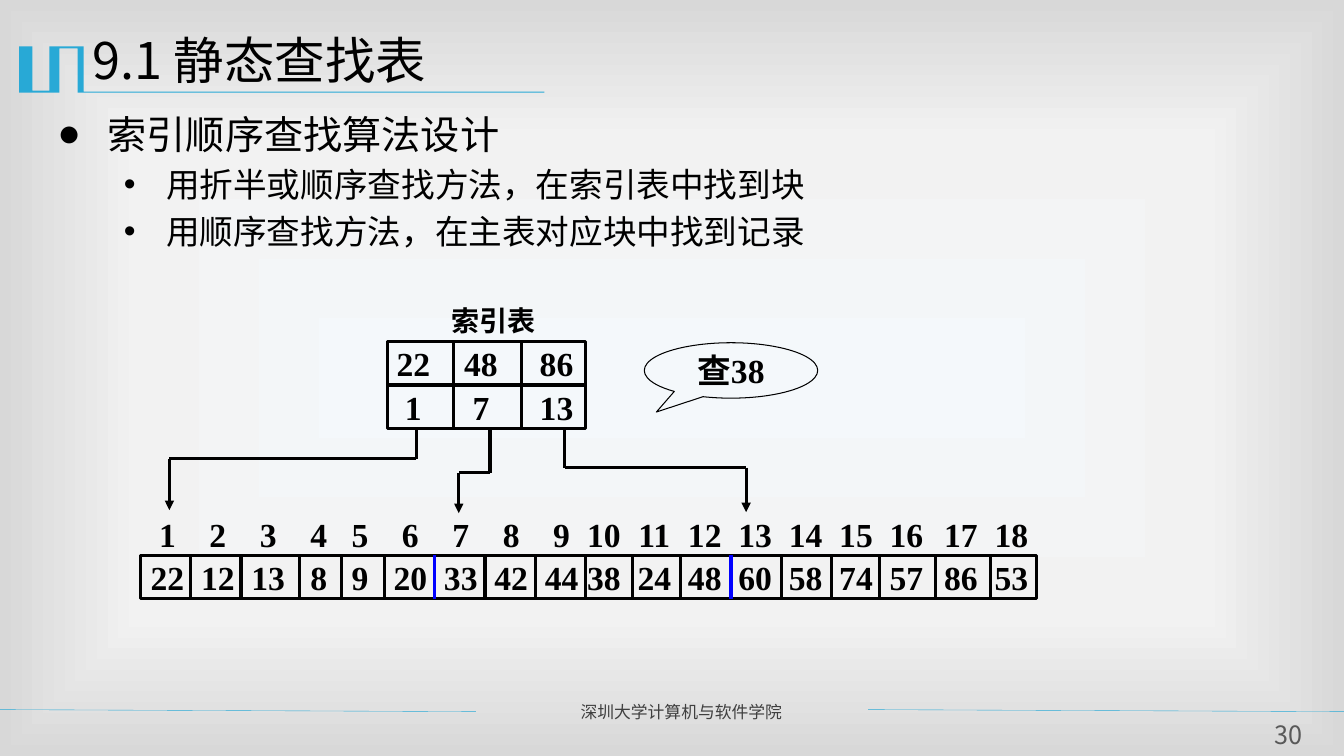
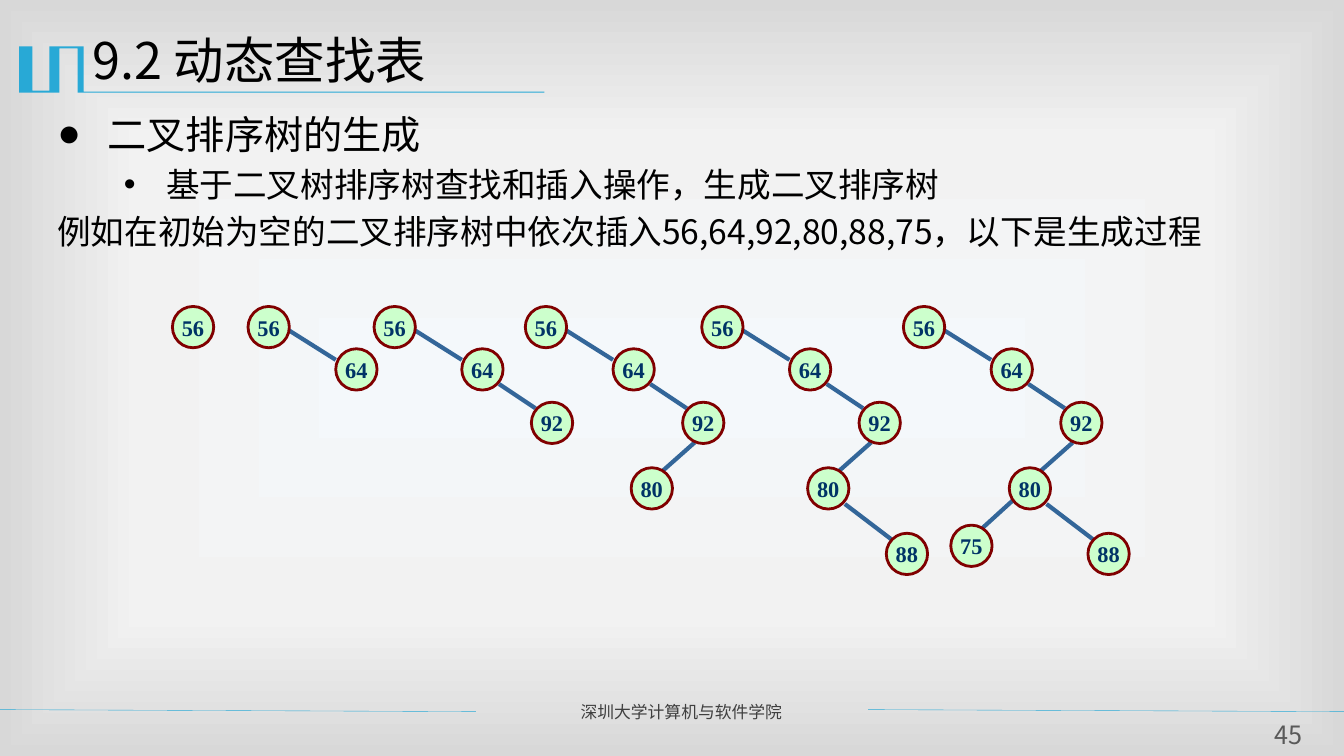
from pptx import Presentation
from pptx.dml.color import RGBColor
from pptx.enum.shapes import MSO_CONNECTOR, MSO_SHAPE
from pptx.enum.text import MSO_ANCHOR, PP_ALIGN
from pptx.oxml import parse_xml
from pptx.oxml.ns import nsdecls, qn
from pptx.util import Inches, Pt

LEFT, CENTER, JUSTIFY = PP_ALIGN.LEFT, PP_ALIGN.CENTER, PP_ALIGN.JUSTIFY
TOP, MIDDLE = MSO_ANCHOR.TOP, MSO_ANCHOR.MIDDLE
RECTANGLE, OVAL, CALLOUT = MSO_SHAPE.RECTANGLE, MSO_SHAPE.OVAL, MSO_SHAPE.OVAL_CALLOUT
STRAIGHT = MSO_CONNECTOR.STRAIGHT

SANS, SERIF = "Noto Sans CJK SC", "Times New Roman"
COLORS = {
    "text": "000000", "accent": "28A9D6", "footer": "3F3F3F", "page": "595959",
    "block": "0000FF", "node": "CCFFCC", "node_line": "800000",
    "key": "003366", "edge": "336699",
    "glow": "F4F8FB", "paper": "F2F2F2", "rim": "D8D8D8",
}


def write_text(frame, text, size=24, color="text", font=SANS, bold=False, align=LEFT,
               anchor=TOP, wrap=True, margin=None, before=0, bullet=None,
               indent=(0, 0), tabs=()):
    """Add one paragraph; indent is (left margin, hanging), tabs are centred stops."""
    frame.word_wrap = wrap
    frame.vertical_anchor = anchor
    if margin is not None:
        frame.margin_left = frame.margin_right = Inches(margin)
        frame.margin_top = frame.margin_bottom = Inches(margin)
    paragraph = frame.add_paragraph() if frame.text else frame.paragraphs[0]
    properties = paragraph._p.get_or_add_pPr()
    if bullet:
        properties.set("marL", str(Inches(indent[0])))
        properties.set("indent", str(-Inches(indent[1])))
        properties.append(parse_xml(f'<a:buFont {nsdecls("a")} typeface="Arial"/>'))
        properties.append(parse_xml(f'<a:buChar {nsdecls("a")} char="{bullet}"/>'))
    if tabs:
        stops = "".join(f'<a:tab pos="{Inches(tab)}" algn="ctr"/>' for tab in tabs)
        properties.append(parse_xml(f'<a:tabLst {nsdecls("a")}>{stops}</a:tabLst>'))
    paragraph.alignment = align
    paragraph.space_before = Pt(before)
    run = paragraph.add_run()
    run.text = text
    run.font.size = Pt(size)
    run.font.bold = bold
    run.font.name = font
    run.font.color.rgb = RGBColor.from_string(COLORS[color])
    run._r.get_or_add_rPr().append(
        parse_xml(f'<a:ea {nsdecls("a")} typeface="{SANS}"/>'))


def draw_line(slide, start, end, color="text", width=2.25, arrow=False):
    line = slide.shapes.add_connector(STRAIGHT, *map(Inches, start + end))
    line.line.color.rgb = RGBColor.from_string(COLORS[color])
    line.line.width = Pt(width)
    if arrow:
        line.line._get_or_add_ln().append(
            parse_xml(f'<a:tailEnd {nsdecls("a")} type="triangle"/>'))
    line._element.spPr.append(parse_xml(f'<a:effectLst {nsdecls("a")}/>'))


prs = Presentation()
prs.slide_width, prs.slide_height = Inches(13.33), Inches(7.5)

# Shared background
master = prs.slide_master
master.background.fill.solid()
background = master.element.find(".//" + qn("p:bgPr"))
gradient_stops = "".join(
    f'<a:gs pos="{position}"><a:srgbClr val="{COLORS[name]}"/></a:gs>'
    for position, name in ((0, "glow"), (63000, "paper"), (100000, "rim")))
background.replace(background[0], parse_xml(
    f'<a:gradFill {nsdecls("a")} rotWithShape="1"><a:gsLst>{gradient_stops}</a:gsLst>'
    '<a:path path="rect"><a:fillToRect l="50000" t="50000" r="50000" b="50000"/></a:path>'
    '</a:gradFill>'))

# Shared frame, with the title and bullets of each slide
HEADING = dict(size=28, bullet="●", indent=(0.5, 0.5))
POINT = dict(bullet="•", indent=(1.08, 0.42), before=4.8)
PLAIN = dict(before=4.8)
TITLE_MARK = [
    (0.83, 0.46), (0.83, 0.91), (5.4, 0.91), (5.4, 0.92), (0.77, 0.92), (0.77, 0.48),
    (0.59, 0.48), (0.59, 0.92), (0.19, 0.92), (0.19, 0.46), (0.32, 0.46), (0.32, 0.9),
    (0.49, 0.9), (0.49, 0.46),
]
pages = [
    ("30", "9.1 静态查找表", [
        ("索引顺序查找算法设计", HEADING),
        ("用折半或顺序查找方法，在索引表中找到块", POINT),
        ("用顺序查找方法，在主表对应块中找到记录", POINT)]),
    ("45", "9.2 动态查找表", [
        ("二叉排序树的生成", HEADING),
        ("基于二叉树排序树查找和插入操作，生成二叉排序树", POINT),
        ("例如在初始为空的二叉排序树中依次插入56,64,92,80,88,75，以下是生成过程", PLAIN)]),
]
slides = []
for page, title, body in pages:
    slide = prs.slides.add_slide(prs.slide_layouts[6])
    slides.append(slide)
    corners = [(Inches(x), Inches(y)) for x, y in TITLE_MARK]
    outline = slide.shapes.build_freeform(*corners[0], scale=1.0)
    outline.add_line_segments(corners[1:], close=True)
    title_mark = outline.convert_to_shape()
    title_mark.shadow.inherit = False
    title_mark.fill.solid()
    title_mark.fill.fore_color.rgb = RGBColor.from_string(COLORS["accent"])
    title_mark.line.fill.background()
    for left, right in ((-0.01, 4.72), (8.61, 13.33)):
        draw_line(slide, (left, 7.04), (right, 7.06), "accent", 0.25)

    texts = [
        ((5.66, 6.91, 2.85, 0.3), [("深圳大学计算机与软件学院", dict(
            size=12, color="footer", align=JUSTIFY))]),
        ((0.47, 1.04, 12.13, 4.38), body),
        ((0.82, 0.24, 12, 0.87), [(title, dict(size=36))]),
        ((12.48, 7.13, 0.59, 0.31), [(page, dict(
            size=18, color="page", align=CENTER, anchor=MIDDLE, margin=0))]),
    ]
    for place, paragraphs in texts:
        box = slide.shapes.add_textbox(*map(Inches, place))
        for text, style in paragraphs:
            write_text(box.text_frame, text, **style)

# Slide 1: index table pointing into the main table
search_slide, tree_slide = slides
caption = search_slide.shapes.add_textbox(*map(Inches, (4.38, 2.96, 1.04, 0.44)))
write_text(caption.text_frame, "索引表", size=20, font=SERIF, bold=True, wrap=False)

ROW_HEIGHT = 0.43
index_centers = [4.1, 4.77, 5.52]
index_edges = [3.84, 4.5, 5.17, 5.81]
main_centers = [1.66, 2.16, 2.66, 3.16, 3.57, 4.07, 4.57, 5.07, 5.57,
                5.99, 6.49, 6.99, 7.49, 7.99, 8.49, 8.99, 9.53, 10.03]
main_edges = [1.39, 1.89, 2.39, 2.97, 3.39, 3.81, 4.31, 4.81, 5.31, 5.81,
              6.27, 6.75, 7.25, 7.75, 8.25, 8.72, 9.28, 9.82, 10.28]
main_values = [22, 12, 13, 8, 9, 20, 33, 42, 44, 38, 24, 48, 60, 58, 74, 57, 86, 53]
block_edges = [4.31, 7.25]
# values, their centres, cell edges, top, whether the row is framed
rows = [
    (range(1, 19), main_centers, main_edges, 5.08, False),
    (main_values, main_centers, main_edges, 5.51, True),
    ([22, 48, 86], index_centers, index_edges, 3.39, True),
    ([1, 7, 13], index_centers, index_edges, 3.82, True),
]
for values, centers, edges, top, framed in rows:
    place = list(map(Inches, (edges[0], top, edges[-1] - edges[0], ROW_HEIGHT)))
    if framed:
        row = search_slide.shapes.add_shape(RECTANGLE, *place)
        row.shadow.inherit = False
        row.fill.background()
        row.line.color.rgb = RGBColor.from_string(COLORS["text"])
        row.line.width = Pt(2.25)
        for x in edges[1:-1]:
            draw_line(search_slide, (x, top), (x, top + ROW_HEIGHT),
                      "block" if x in block_edges else "text")
    else:
        row = search_slide.shapes.add_textbox(*place)
    write_text(row.text_frame, "".join(f"\t{value}" for value in values), font=SERIF,
               bold=True, anchor=MIDDLE, margin=0,
               tabs=[center - edges[0] for center in centers])

# index column x, block start x, bend y, tip y
for start_x, end_x, bend_y, tip_y in (
        (4.13, 1.68, 4.55, 5.06), (4.86, 4.55, 4.69, 5.09), (5.6, 7.4, 4.64, 5.08)):
    draw_line(search_slide, (start_x, 4.26), (start_x, bend_y))
    draw_line(search_slide, (start_x, bend_y), (end_x, bend_y))
    draw_line(search_slide, (end_x, bend_y), (end_x, tip_y), arrow=True)

query = search_slide.shapes.add_shape(CALLOUT, *map(Inches, (6.39, 3.4, 1.72, 0.55)))
query.shadow.inherit = False
query.adjustments[0], query.adjustments[1] = -0.43, 0.75
query.fill.background()
query.line.color.rgb = RGBColor.from_string(COLORS["text"])
query.line.width = Pt(0.75)
write_text(query.text_frame, "查38", font=SERIF, bold=True, align=CENTER,
           anchor=MIDDLE, wrap=False)

# Slide 2: each tree holds one more key; places are relative to its root
NODE_SIZE, ROOT_TOP = 0.41, 3.04
insertions = [  # key, node place, edge from parent
    (56, (0, 0), None),
    (64, (0.87, 0.42), ((0.41, 0.24), (0.87, 0.53))),
    (92, (1.56, 0.95), ((1.24, 0.77), (1.6, 1.01))),
    (80, (1.05, 1.6), ((1.68, 1.35), (1.33, 1.66))),
    (88, (1.83, 2.25), ((1.42, 1.96), (1.88, 2.31))),
    (75, (0.47, 2.17), ((1.09, 1.92), (0.75, 2.23))),
]
root_lefts = [1.71, 2.46, 3.71, 5.21, 6.96, 8.96]
for count, root_left in enumerate(root_lefts, start=1):
    tree = insertions[:count]
    for _, _, edge in tree:
        if edge:
            start, end = [(root_left + x, ROOT_TOP + y) for x, y in edge]
            draw_line(tree_slide, start, end, "edge", 3)
    for key, (x, y), _ in tree:
        node = tree_slide.shapes.add_shape(
            OVAL, Inches(root_left + x), Inches(ROOT_TOP + y),
            Inches(NODE_SIZE), Inches(NODE_SIZE))
        node.shadow.inherit = False
        node.fill.solid()
        node.fill.fore_color.rgb = RGBColor.from_string(COLORS["node"])
        node.line.color.rgb = RGBColor.from_string(COLORS["node_line"])
        node.line.width = Pt(2)
        write_text(node.text_frame, str(key), size=16, color="key", font=SERIF,
                   bold=True, align=CENTER, anchor=MIDDLE, wrap=False)

prs.save("out.pptx")
